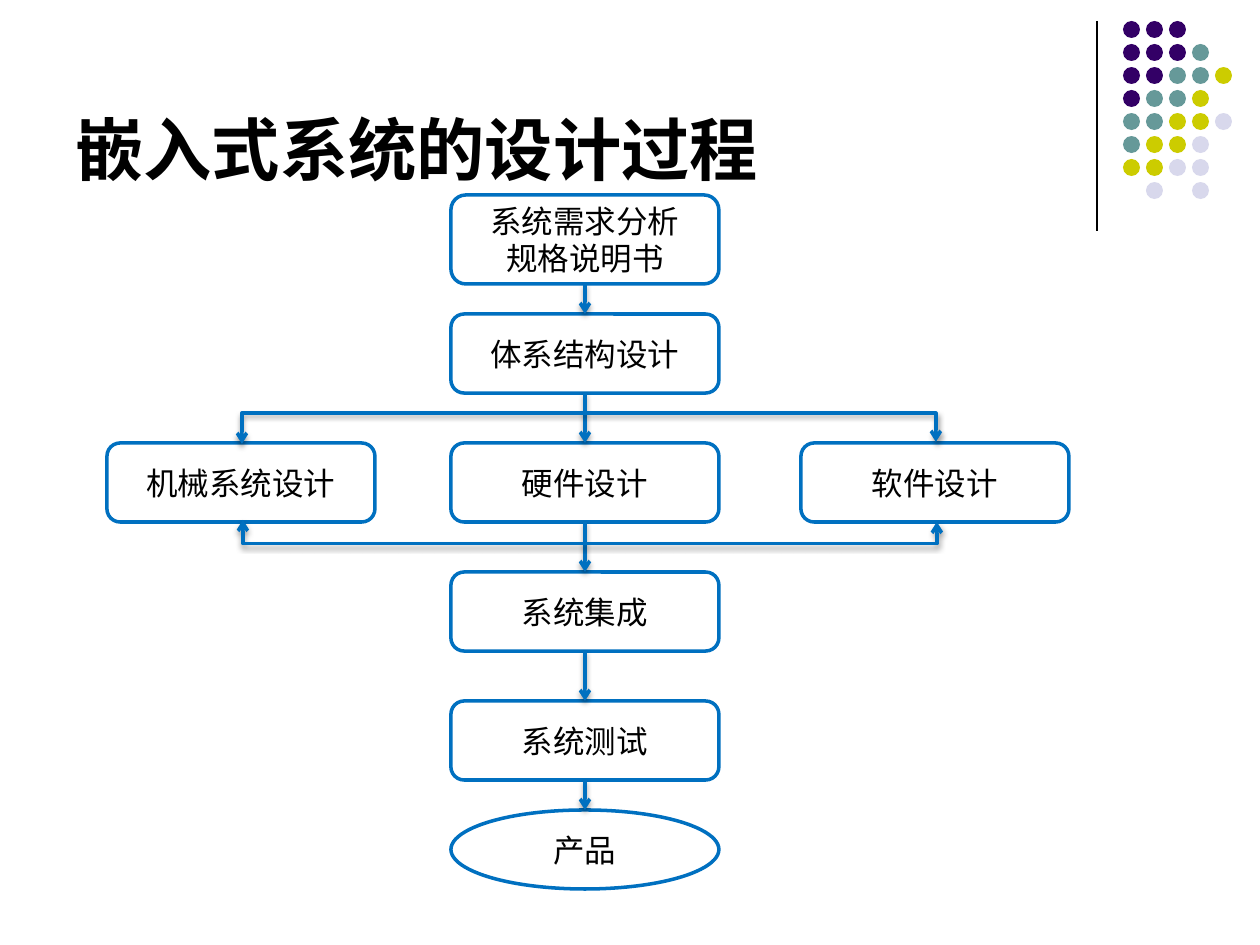
import pptx
import pptx.util
import pptx.dml.color
import pptx.enum.shapes
import pptx.enum.text
import pptx.oxml
import pptx.oxml.ns

PX = 914400 // 126
KIND = pptx.enum.shapes.MSO_SHAPE
LINK = pptx.enum.shapes.MSO_CONNECTOR
BLUE = "0070C0"
NS = pptx.oxml.ns.nsdecls("a")
SHADOW = (f'<a:effectLst {NS}><a:outerShdw blurRad="40000" dist="20000" '
          'dir="5400000" rotWithShape="0"><a:srgbClr val="000000">'
          '<a:alpha val="38000"/></a:srgbClr></a:outerShdw></a:effectLst>')


def color(code):
    return pptx.dml.color.RGBColor.from_string(code)


def write(shape, text, size=18, bold=False, align="CENTER", anchor="MIDDLE"):
    frame = shape.text_frame
    frame.word_wrap = True
    frame.vertical_anchor = getattr(pptx.enum.text.MSO_ANCHOR, anchor)
    frame.text = text
    for para in frame.paragraphs:
        para.alignment = getattr(pptx.enum.text.PP_ALIGN, align)
        para.font.name = "Times New Roman"
        para.font.size = pptx.util.Pt(size)
        para.font.bold = bold
        para.font.color.rgb = color("000000")


deck = pptx.Presentation()
deck.slide_width = pptx.util.Inches(10)
deck.slide_height = pptx.util.Inches(7.5)
slide = deck.slides.add_slide(deck.slide_layouts[6])
shapes = slide.shapes

# Corner: thin rule and dot pattern
rule = shapes.add_connector(LINK.STRAIGHT, 1097 * PX, 21 * PX, 1097 * PX, 231 * PX)
rule.line.color.rgb = color("000000")
rule.line.width = pptx.util.Pt(0.75)
rule._element.spPr.append(pptx.oxml.parse_xml(f"<a:effectLst {NS}/>"))

tints = {"P": "330066", "T": "669999", "Y": "CCCC00", "L": "D8D8EC"}
rows = ["PPP", "PPPT", "PPTTY", "PTTY", "TTYYL", "TYYL", "YYLL", " L L"]
for row, marks in enumerate(rows):
    for col, mark in enumerate(marks):
        if mark in tints:
            dot = shapes.add_shape(KIND.OVAL, (1123 + 23 * col) * PX,
                                   (21 + 23 * row) * PX, 17 * PX, 17 * PX)
            dot.shadow.inherit = False
            dot.fill.solid()
            dot.fill.fore_color.rgb = color(tints[mark])
            dot.line.fill.background()

title = shapes.add_textbox(63 * PX, 16 * PX, 1040 * PX, 179 * PX)
write(title, "嵌入式系统的设计过程", size=39, bold=True, align="LEFT", anchor="BOTTOM")

# Steps: the first six form the main column
steps = [
    ("系统需求分析\n规格说明书", 451, 195, 89, KIND.ROUNDED_RECTANGLE),
    ("体系结构设计", 451, 314, 79, KIND.ROUNDED_RECTANGLE),
    ("硬件设计", 451, 443, 79, KIND.ROUNDED_RECTANGLE),
    ("系统集成", 451, 572, 79, KIND.ROUNDED_RECTANGLE),
    ("系统测试", 451, 701, 79, KIND.ROUNDED_RECTANGLE),
    ("产品", 451, 810, 79, KIND.OVAL),
    ("机械系统设计", 107, 443, 79, KIND.ROUNDED_RECTANGLE),
    ("软件设计", 801, 443, 79, KIND.ROUNDED_RECTANGLE),
]
boxes = []
for text, left, top, high, kind in steps:
    box = shapes.add_shape(kind, left * PX, top * PX, 268 * PX, high * PX)
    box.shadow.inherit = False
    box.fill.solid()
    box.fill.fore_color.rgb = color("FFFFFF")
    box.line.color.rgb = color(BLUE)
    box.line.width = pptx.util.Pt(2)
    write(box, text)
    boxes.append(box)

arrows = []
for upper, lower in zip(boxes[:5], boxes[1:6]):
    arrow = shapes.add_connector(LINK.STRAIGHT, 0, 0, 0, 0)
    arrow.begin_connect(upper, 2)
    arrow.end_connect(lower, 0)
    arrows.append((arrow, ["tailEnd"]))

# Side branches: elbows turned on their side; bend is their reach in px
for mid, base, bend, turn, flip in [(590, 521, 24, 270, False),
                                    (589, 443, 31, 90, True)]:
    left, top = mid - 1, base - 347
    elbow = shapes.add_connector(LINK.ELBOW, (left + 2) * PX, top * PX,
                                 left * PX, (top + 694) * PX)
    frame = elbow._element.spPr.find(pptx.oxml.ns.qn("a:xfrm"))
    frame.set("rot", str(turn * 60000))
    if flip:
        frame.set("flipV", "1")
    guides = elbow._element.spPr.find(".//" + pptx.oxml.ns.qn("a:avLst"))
    guides.append(pptx.oxml.parse_xml(
        f'<a:gd {NS} name="adj1" fmla="val {bend * 50000}"/>'))
    arrows.append((elbow, ["headEnd", "tailEnd"]))

for arrow, ends in arrows:
    arrow.line.color.rgb = color(BLUE)
    arrow.line.width = pptx.util.Pt(2)
    for end in ends:
        arrow.line._get_or_add_ln().append(
            pptx.oxml.parse_xml(f'<a:{end} {NS} type="arrow"/>'))
    arrow._element.spPr.append(pptx.oxml.parse_xml(SHADOW))

deck.save("out.pptx")
